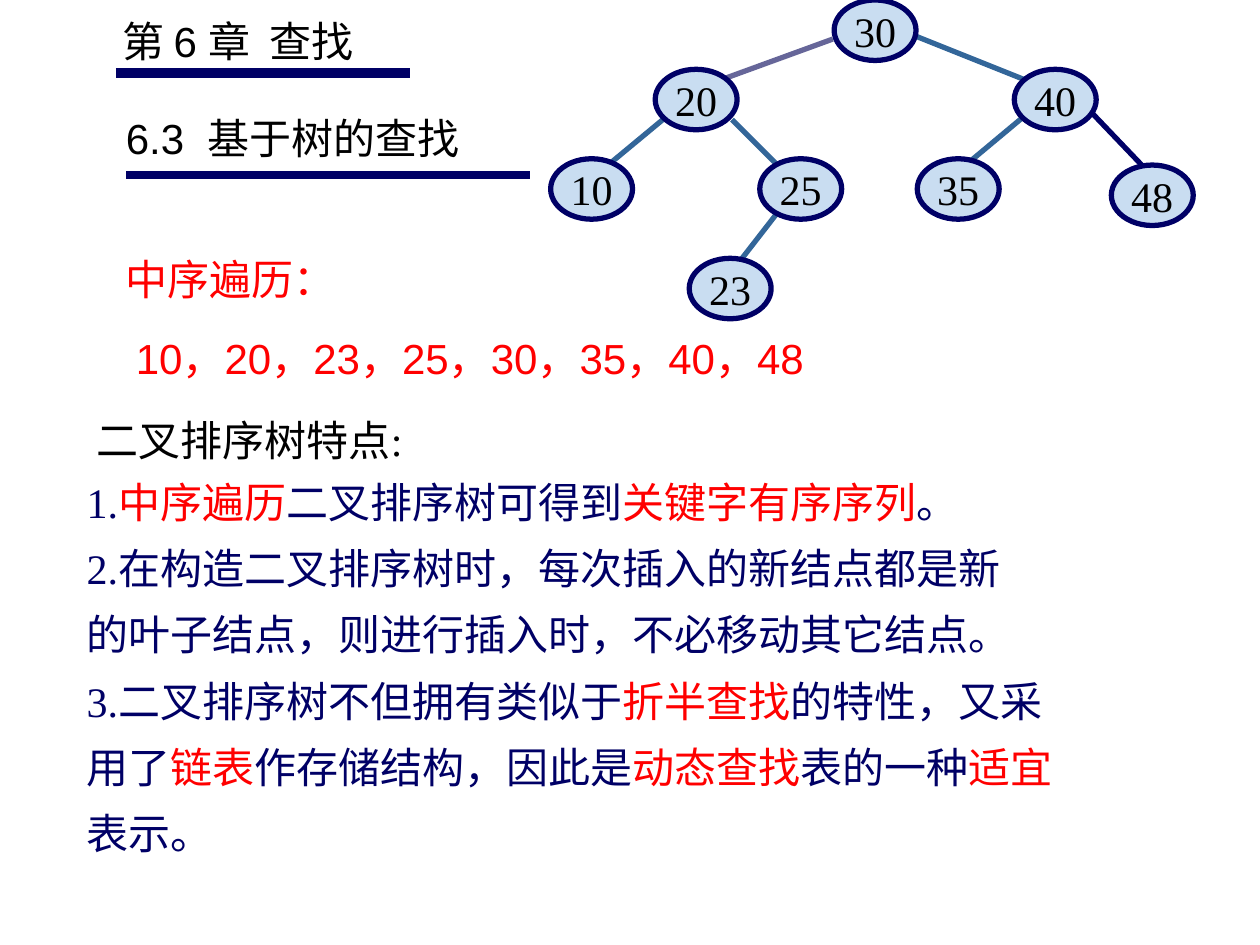
"""Build a slide on the traits of a binary search tree."""
from pptx import Presentation
from pptx.dml.color import RGBColor
from pptx.enum.shapes import MSO_CONNECTOR, MSO_SHAPE
from pptx.enum.text import MSO_ANCHOR, MSO_AUTO_SIZE, PP_ALIGN
from pptx.oxml.ns import qn
from pptx.util import Inches, Pt

THEME = {
    "ink": "000000", "navy": "000066", "red": "FF0000", "white": "FFFFFF",
    "node": "C9DDF1", "steel": "336699", "violet": "666699",
    "sans": "Arial", "serif": "Times New Roman", "size": 24, "outline": 3,
}
NODE_SIZE = (0.65, 0.48)
NODES = [
    ("30", 6.62, 0), ("20", 5.2, 0.55), ("40", 8.05, 0.55), ("10", 4.37, 1.26),
    ("25", 6.03, 1.26), ("35", 7.28, 1.26), ("48", 8.82, 1.31), ("23", 5.47, 2.05),
]
EDGES = [
    (8.67, 0.9, 9.09, 1.34, "navy"), (6.61, 0.31, 5.76, 0.62, "violet"),
    (7.25, 0.28, 8.15, 0.64, "steel"), (5.26, 0.95, 4.79, 1.34, "steel"),
    (6.2, 1.65, 5.89, 2.05, "steel"), (8.12, 0.93, 7.7, 1.28, "steel"),
    (5.81, 0.95, 6.2, 1.34, "steel"),
]
RULES = [(0.92, 0.58, 3.25, 0.58, 6), (1, 1.39, 4.21, 1.39, 4.25)]
TITLE = ("第 6 章  查找", (0.87, 0.07, 2.55, 0.5))
LABELS = [
    ("6.3  基于树的查找", (0.9, 0.84, 3.62, 0.5), "sans", "ink", 1.0),
    ("中序遍历：", (0.9, 1.86, 2.84, 0.55), "sans", "red", 1.25),
    ("10，20，23，25，30，35，40，48", (0.98, 2.49, 7.88, 0.55), "sans", "red", 1.25),
    ("二叉排序树特点:", (0.67, 3.2, 3.54, 0.51), "serif", "ink", 1.1),
]
TRAITS_PLACE = (0.59, 3.67, 9.84, 3.25)
TRAITS = [
    [("1.", "navy"), ("中序遍历", "red"), ("二叉排序树可得到", "navy"),
     ("关键字有序序列", "red"), ("。", "navy")],
    [("2.在构造二叉排序树时，每次插入的新结点都是新", "navy")],
    [("的叶子结点，则进行插入时，不必移动其它结点。", "navy")],
    [("3.二叉排序树不但拥有类似于", "navy"), ("折半查找", "red"), ("的特性，又采", "navy")],
    [("用了", "navy"), ("链表", "red"), ("作存储结构，因此是", "navy"),
     ("动态查找", "red"), ("表的一种", "navy"), ("适宜", "red")],
    [("表示。", "navy")],
]


def color(name):
    return RGBColor.from_string(THEME[name])


def style(span, face, tint):
    span.font.name = THEME[face]
    span.font.size = Pt(THEME["size"])
    span.font.bold = False
    span.font.color.rgb = color(tint)


def add_line(shapes, start_x, start_y, end_x, end_y, tint, width):
    ends = [Inches(value) for value in (start_x, start_y, end_x, end_y)]
    line = shapes.add_connector(MSO_CONNECTOR.STRAIGHT, *ends)
    line.line.color.rgb = color(tint)
    line.line.width = Pt(width)
    properties = line._element.spPr
    properties.append(properties.makeelement(qn("a:effectLst"), {}))


def add_node(shapes, key, left, top):
    place = [Inches(value) for value in (left, top, *NODE_SIZE)]
    node = shapes.add_shape(MSO_SHAPE.OVAL, *place)
    node.shadow.inherit = False
    node.fill.solid()
    node.fill.fore_color.rgb = color("node")
    node.line.color.rgb = color("navy")
    node.line.width = Pt(THEME["outline"])
    frame = node.text_frame
    frame.word_wrap = False
    frame.vertical_anchor = MSO_ANCHOR.MIDDLE
    frame.text = key
    frame.paragraphs[0].alignment = PP_ALIGN.CENTER
    style(frame.paragraphs[0].runs[0], "serif", "ink")


def add_box(page, place):
    box = page.shapes.add_textbox(*[Inches(value) for value in place])
    box.text_frame.word_wrap = True
    return box


def set_label(box, text, face, tint, spacing):
    box.text_frame.text = text
    paragraph = box.text_frame.paragraphs[0]
    paragraph.alignment = PP_ALIGN.LEFT
    paragraph.line_spacing = spacing
    style(paragraph.runs[0], face, tint)


def set_title(page):
    text, place = TITLE
    title = page.shapes.title
    title.left, title.top, title.width, title.height = [Inches(value) for value in place]
    title.text_frame.word_wrap = True
    title.text_frame.auto_size = MSO_AUTO_SIZE.NONE
    title.text_frame.vertical_anchor = MSO_ANCHOR.TOP
    set_label(title, text, "sans", "ink", 1.0)


def add_traits(page):
    frame = add_box(page, TRAITS_PLACE).text_frame
    for index, spans in enumerate(TRAITS):
        paragraph = frame.add_paragraph() if index else frame.paragraphs[0]
        paragraph.line_spacing = 1.15
        paragraph.space_before = Pt(THEME["size"] * 0.2)
        properties = paragraph._p.get_or_add_pPr()
        properties.set("marL", str(Inches(0.5)))
        properties.set("indent", str(Inches(-0.5)))
        for text, tint in spans:
            span = paragraph.add_run()
            span.text = text
            style(span, "serif", tint)


def main():
    deck = Presentation()
    deck.slide_width, deck.slide_height = Inches(10), Inches(7.5)
    page = deck.slides.add_slide(deck.slide_layouts[5])
    page.background.fill.solid()
    page.background.fill.fore_color.rgb = color("white")
    set_title(page)
    tree = page.shapes.add_group_shape().shapes
    for edge in EDGES:
        add_line(tree, *edge, THEME["outline"])
    for node in NODES:
        add_node(tree, *node)
    for text, place, face, tint, spacing in LABELS:
        set_label(add_box(page, place), text, face, tint, spacing)
    add_traits(page)
    for *ends, width in RULES:
        add_line(page.shapes, *ends, "navy", width)
    deck.save("out.pptx")


if __name__ == "__main__":
    main()
